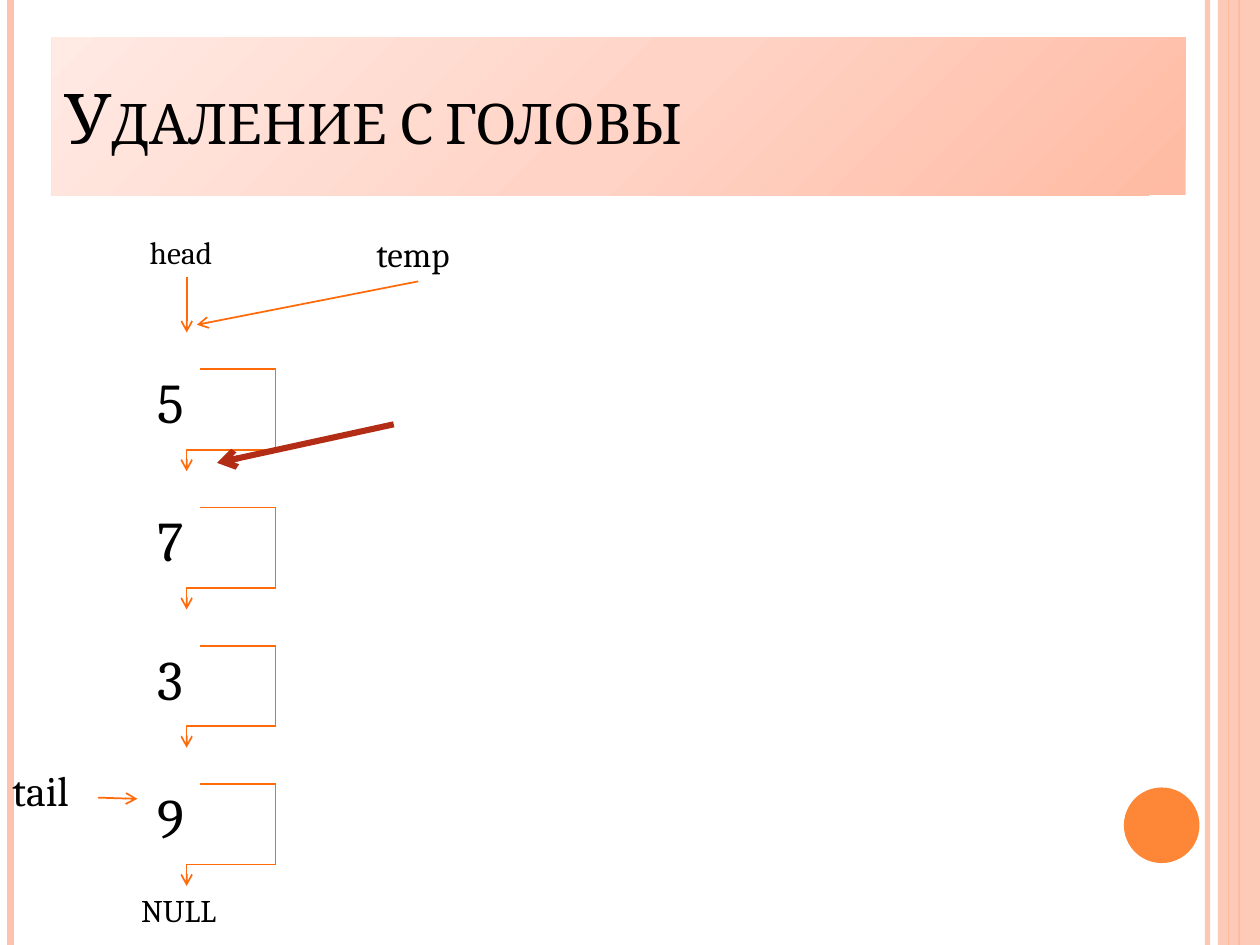
"""Build a slide on deleting the head node of a linked list."""
from lxml.etree import SubElement
from pptx import Presentation
from pptx.dml.color import RGBColor
from pptx.enum.shapes import MSO_CONNECTOR, MSO_SHAPE
from pptx.enum.text import MSO_ANCHOR, MSO_AUTO_SIZE, PP_ALIGN
from pptx.oxml.ns import qn
from pptx.util import Pt

BLACK = RGBColor(0x00, 0x00, 0x00)
PEACH = RGBColor(0xFE, 0xC3, 0xAE)
ORANGE = RGBColor(0xFE, 0x86, 0x37)
ARROW_ORANGE = RGBColor(0xFF, 0x6B, 0x0A)
DARK_RED = RGBColor(0xB3, 0x2C, 0x16)
TITLE_GRADIENT = [
    (0, RGBColor(0xFF, 0xBB, 0xA3)),
    (50, RGBColor(0xFF, 0xD4, 0xC7)),
    (100, RGBColor(0xFF, 0xEA, 0xE4)),
]
FONT = "Cambria"

deck = Presentation()
deck.slide_width, deck.slide_height = Pt(720), Pt(540)
slide = deck.slides.add_slide(deck.slide_layouts[5])
shapes = slide.shapes


def add_line(start, end, color=ARROW_ORANGE, width=1, arrow=False, kind=MSO_CONNECTOR.STRAIGHT):
    line = shapes.add_connector(kind, *(Pt(v) for v in (*start, *end)))
    line.line.color.rgb = color
    line.line.width = Pt(width)
    properties = line._element.spPr
    SubElement(properties, qn("a:effectLst"))
    if arrow:
        SubElement(properties.find(qn("a:ln")), qn("a:tailEnd"), type="arrow")
    return line


def add_label(text, left, top, width, height, size, wrap=True):
    label = shapes.add_textbox(Pt(left), Pt(top), Pt(width), Pt(height))
    frame = label.text_frame
    frame.word_wrap = wrap
    frame.auto_size = MSO_AUTO_SIZE.SHAPE_TO_FIT_TEXT
    frame.text = text
    font = frame.paragraphs[0].font
    font.name, font.size, font.color.rgb = FONT, Pt(size), BLACK


for x, color, width, opacity in [
    (690, PEACH, 3, 93),
    (6, PEACH, 4.5, 100),
    (708, ORANGE, 1.5, 100),
    (702, ORANGE, 0.75, 100),
]:
    stripe = add_line((x, 0), (x, 540), color, width)
    tint = next(stripe._element.spPr.iter(qn("a:srgbClr")))
    SubElement(tint, qn("a:alpha"), val=str(opacity * 1000))

for preset, box, color, opacity in [
    (MSO_SHAPE.RECTANGLE, (696, 0, 24, 540), PEACH, 87),
    (MSO_SHAPE.OVAL, (642.25, 450, 43.2, 43.2), ORANGE, 100),
]:
    decoration = shapes.add_shape(preset, *(Pt(v) for v in box))
    decoration.shadow.inherit = False
    decoration.fill.solid()
    decoration.fill.fore_color.rgb = color
    decoration.line.fill.background()
    tint = next(decoration._element.spPr.iter(qn("a:srgbClr")))
    SubElement(tint, qn("a:alpha"), val=str(opacity * 1000))

title = shapes.title
title.left, title.top, title.width, title.height = Pt(29.5), Pt(21.5), Pt(648), Pt(90)
gradient = SubElement(title._element.spPr, qn("a:gradFill"), rotWithShape="1")
stops = SubElement(gradient, qn("a:gsLst"))
for position, color in TITLE_GRADIENT:
    stop = SubElement(stops, qn("a:gs"), pos=str(position * 1000))
    SubElement(stop, qn("a:srgbClr"), val=str(color))
SubElement(gradient, qn("a:lin"), ang=str(225 * 60000), scaled="0")
title.text_frame.text = "Удаление с головы"
title.text_frame.auto_size = MSO_AUTO_SIZE.NONE
title.text_frame.vertical_anchor = MSO_ANCHOR.MIDDLE
heading = title.text_frame.paragraphs[0]
heading.alignment = PP_ALIGN.LEFT
heading.font.name, heading.font.size, heading.font.color.rgb = FONT, Pt(40), BLACK
heading.runs[0]._r.get_or_add_rPr().set("cap", "small")

add_label("temp", 208, 129.5, 62, 31.5, 20, wrap=False)
add_label("tail", 0, 433.5, 56, 36, 24)
add_label("head", 78.5, 129.5, 56, 29, 18)
add_label("NULL", 73.5, 505.5, 73.5, 29, 18)

for index, value in enumerate("5739"):
    top = 206.5 + 79 * index
    add_label(value, 82.8, top, 19.5, 46, 32)
    upper, lower = top + 4.5, top + 50.5
    add_line((114.3, upper), (157.5, upper))
    add_line((157.5, upper), (157.5, lower))
    link = add_line((157.5, lower), (106.7, lower + 12.3), arrow=True, kind=MSO_CONNECTOR.ELBOW)
    link._element.spPr.find(qn("a:prstGeom")).set("prst", "bentConnector2")

add_line((56, 455.8), (78.5, 456.5), arrow=True)
add_line((106.7, 158.5), (106.7, 190), arrow=True)
add_line((239, 160.8), (112.5, 185.6), arrow=True)
add_line((225, 242.5), (124, 264.5), DARK_RED, 3.5, arrow=True)

deck.save("out.pptx")
